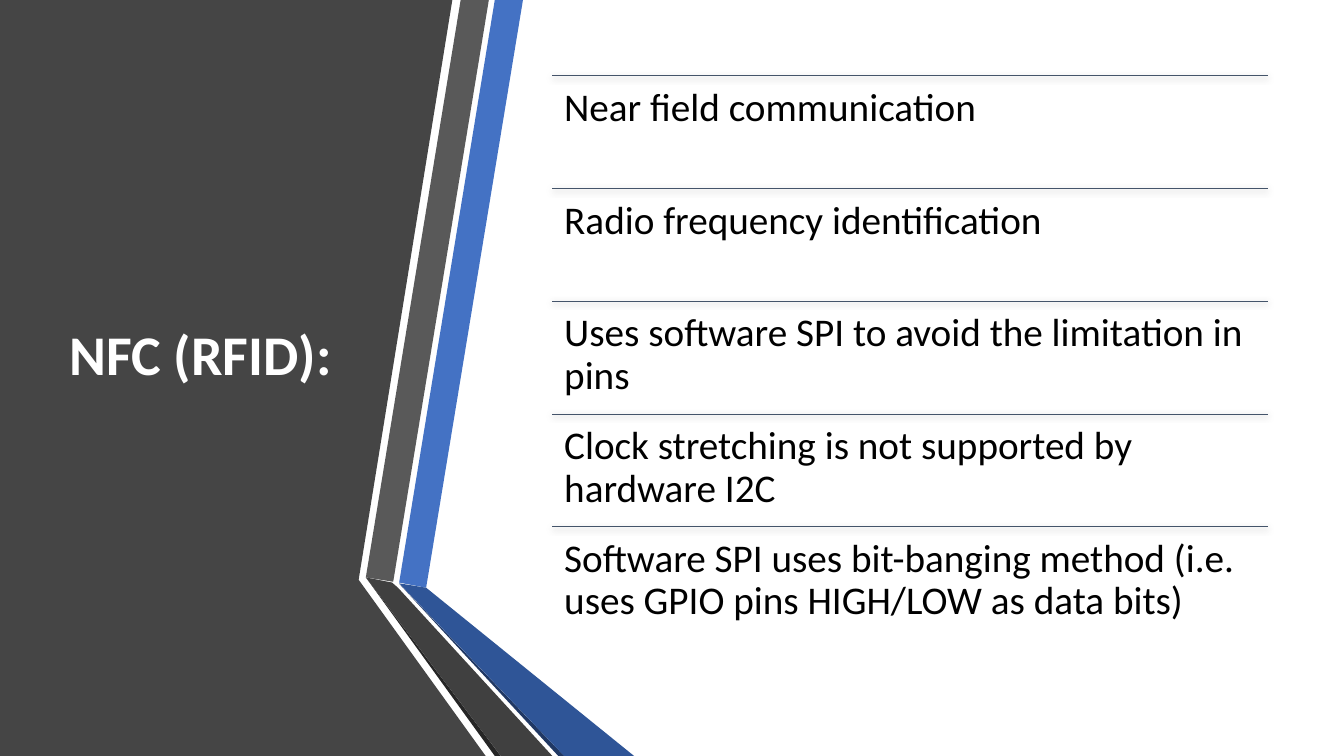
import pptx
import pptx.dml.color
import pptx.enum.shapes
import pptx.enum.text
import pptx.oxml
import pptx.oxml.ns
import pptx.util
from pptx.util import Cm

HEADING = "NFC (RFID):"
FACTS = [
    "Near field communication",
    "Radio frequency identification",
    "Uses software SPI to avoid the limitation in pins",
    "Clock stretching is not supported by hardware I2C",
    "Software SPI uses bit-banging method (i.e. uses GPIO pins HIGH/LOW as data bits)",
]
FONT = "Calibri"
COLORS = {
    "panel": "454545",
    "blue": "4472C4",
    "gray": "595959",
    "black": "262626",
    "navy": "203864",
    "dark blue": "2F5597",
    "dark gray": "404040",
    "rule": "44546A",
    "heading": "FFFFFF",
    "fact": "000000",
}
BOTTOM = 19.05
BANDS = [
    ("panel", [(0, 0), (11.4, 0), (9.04, 14.61), (12.24, BOTTOM), (0, BOTTOM)]),
    ("blue", [(10.06, 14.68), (10.74, 14.81), (13.18, 0), (12.47, 0)]),
    ("gray", [(12.32, 0), (11.61, 0), (9.22, 14.55), (9.91, 14.66)]),
    ("black", [(9.22, 14.55), (12.47, BOTTOM), (12.62, BOTTOM)]),
    ("navy", [(10.06, 14.71), (14.07, BOTTOM), (14.22, BOTTOM)]),
    ("dark blue", [(10.06, 14.7), (14.22, BOTTOM), (15.98, BOTTOM), (10.74, 14.81)]),
    ("dark gray", [(9.22, 14.55), (12.62, BOTTOM), (13.92, BOTTOM), (10.03, 14.81),
                   (9.88, 14.68)]),
]
FACT_LEFT, FACT_TOP, FACT_WIDTH, FACT_PITCH = 13.92, 1.91, 18.03, 2.84
INSET = 0.3
RULE_SHADOW = (
    f"<a:effectLst {pptx.oxml.ns.nsdecls('a')}>"
    '<a:outerShdw blurRad="57150" dist="19050" dir="5400000" algn="ctr" rotWithShape="0">'
    '<a:srgbClr val="000000"><a:alpha val="63000"/></a:srgbClr>'
    "</a:outerShdw></a:effectLst>"
)


def color(name):
    return pptx.dml.color.RGBColor.from_string(COLORS[name])


def write(frame, text, size, color_name, bold=False):
    frame.word_wrap = True
    paragraph = frame.paragraphs[0]
    paragraph.alignment = pptx.enum.text.PP_ALIGN.LEFT
    paragraph.line_spacing = 0.9
    run = paragraph.add_run()
    run.text = text
    run.font.name = FONT
    run.font.size = pptx.util.Pt(size)
    run.font.bold = bold
    run.font.color.rgb = color(color_name)


def add_band(slide, color_name, corners):
    points = [(Cm(x), Cm(y)) for x, y in corners]
    outline = slide.shapes.build_freeform(*points[0])
    outline.add_line_segments(points[1:], close=True)
    band = outline.convert_to_shape()
    band.shadow.inherit = False
    band.fill.solid()
    band.fill.fore_color.rgb = color(color_name)
    band.line.fill.background()


def add_heading(slide):
    heading = slide.shapes.title
    heading.left, heading.top = Cm(1.5), Cm(1.91)
    heading.width, heading.height = Cm(7.72), Cm(14.17)
    heading.text_frame.vertical_anchor = pptx.enum.text.MSO_ANCHOR.MIDDLE
    write(heading.text_frame, HEADING, 40, "heading", bold=True)
    slide.shapes._spTree.append(heading._element)


def add_fact(slide, text, top):
    rule = slide.shapes.add_connector(
        pptx.enum.shapes.MSO_CONNECTOR.STRAIGHT,
        Cm(FACT_LEFT), Cm(top), Cm(FACT_LEFT + FACT_WIDTH), Cm(top))
    rule.line.color.rgb = color("rule")
    rule.line.width = pptx.util.Pt(0.5)
    rule._element.spPr.append(pptx.oxml.parse_xml(RULE_SHADOW))

    fact = slide.shapes.add_textbox(
        Cm(FACT_LEFT), Cm(top), Cm(FACT_WIDTH), Cm(FACT_PITCH))
    frame = fact.text_frame
    frame.margin_left = frame.margin_right = Cm(INSET)
    frame.margin_top = frame.margin_bottom = Cm(INSET)
    write(frame, text, 28, "fact")


def main():
    deck = pptx.Presentation()
    deck.slide_width, deck.slide_height = Cm(33.87), Cm(BOTTOM)
    slide = deck.slides.add_slide(deck.slide_layouts.get_by_name("Title Only"))
    for color_name, corners in BANDS:
        add_band(slide, color_name, corners)
    add_heading(slide)
    for row, text in enumerate(FACTS):
        add_fact(slide, text, FACT_TOP + row * FACT_PITCH)
    deck.save("out.pptx")


if __name__ == "__main__":
    main()
